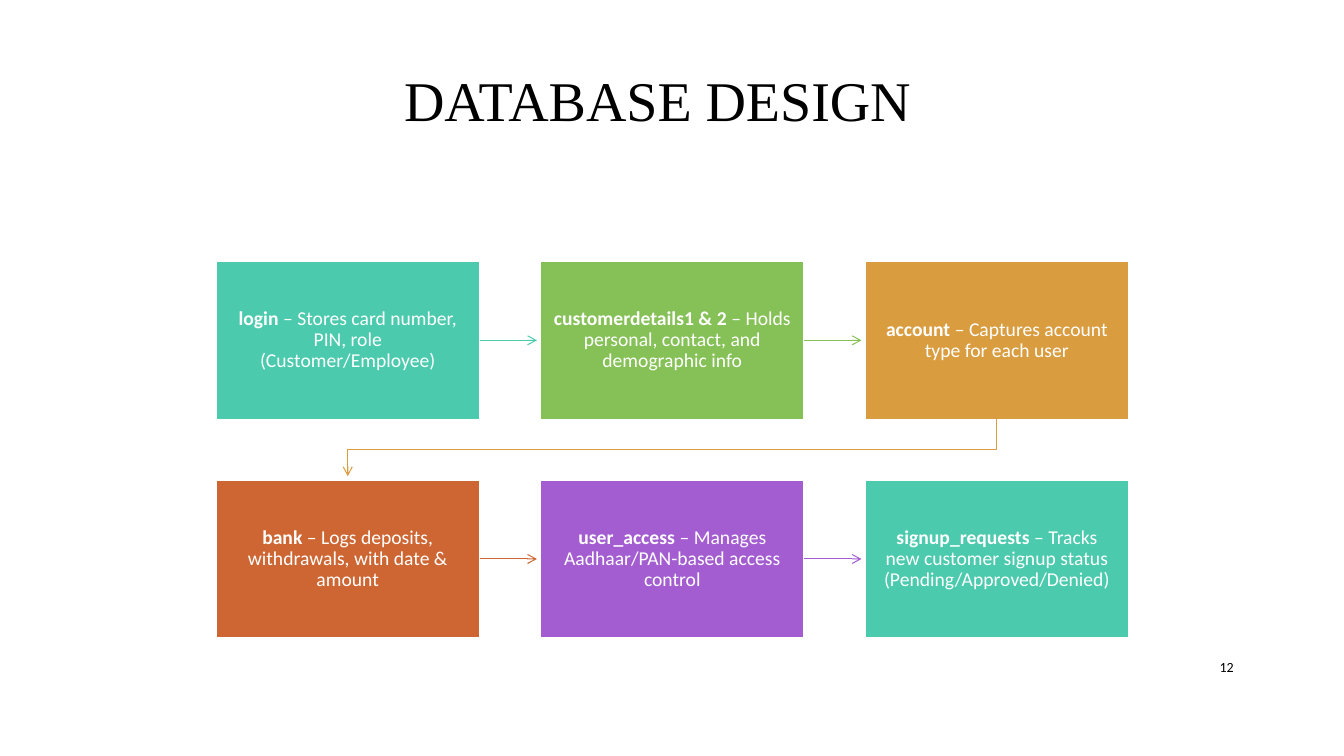
from dataclasses import dataclass

from lxml import etree
from pptx import Presentation
from pptx import util as u
from pptx.dml.color import RGBColor
from pptx.enum import shapes, text
from pptx.oxml.ns import qn


@dataclass(frozen=True)
class Theme:
    teal: str = "4BCAAD"
    green: str = "86C157"
    gold: str = "D99C3F"
    rust: str = "CE6633"
    plum: str = "A35DD1"
    white: str = "FFFFFF"
    black: str = "000000"
    serif: str = "Times New Roman"
    sans: str = "Calibri"
    title: int = 40
    body: int = 14
    small: int = 10


THEME = Theme()
LEFT, TOP = 5.44, 6.58
WIDE, HIGH = 6.65, 3.99
STEP_X, STEP_Y = 8.18, 5.51
COLS = 3
GAP = 0.09

TABLES = [
    ("login", " – Stores card number, PIN, role (Customer/Employee)", THEME.teal),
    ("customerdetails1 & 2", " – Holds personal, contact, and demographic info", THEME.green),
    ("account", " – Captures account type for each user", THEME.gold),
    ("bank", " – Logs deposits, withdrawals, with date & amount", THEME.rust),
    ("user_access", " – Manages Aadhaar/PAN-based access control", THEME.plum),
    ("signup_requests", " – Tracks new customer signup status (Pending/Approved/Denied)", THEME.teal),
]


def color(code):
    return RGBColor.from_string(code)


def style(para, face, size, code, align):
    para.alignment = align
    para.font.name = face
    para.font.size = u.Pt(size)
    para.font.color.rgb = color(code)


def add_label(slide, words, area, face, size, align, anchor):
    frame = slide.shapes.add_textbox(*map(u.Cm, area)).text_frame
    frame.word_wrap = True
    frame.vertical_anchor = anchor
    para = frame.paragraphs[0]
    para.text = words
    para.line_spacing = 0.9
    style(para, face, size, THEME.black, align)


def add_box(slide, index, name, note, fill):
    row, col = divmod(index, COLS)
    box = slide.shapes.add_shape(
        shapes.MSO_SHAPE.RECTANGLE,
        u.Cm(LEFT + col * STEP_X), u.Cm(TOP + row * STEP_Y), u.Cm(WIDE), u.Cm(HIGH))
    box.shadow.inherit = False
    box.fill.solid()
    box.fill.fore_color.rgb = color(fill)
    box.line.color.rgb = color(THEME.white)
    box.line.width = u.Pt(1.25)
    frame = box.text_frame
    frame.word_wrap = True
    frame.vertical_anchor = text.MSO_ANCHOR.MIDDLE
    frame.margin_left = frame.margin_right = u.Cm(0.33)
    frame.margin_top = frame.margin_bottom = u.Cm(0.33)
    para = frame.paragraphs[0]
    para.line_spacing = 0.9
    style(para, THEME.sans, THEME.body, THEME.white, text.PP_ALIGN.CENTER)
    head = para.add_run()
    head.text = name
    head.font.bold = True
    para.add_run().text = note
    return box


def set_arrow(shape, code):
    shape.line.color.rgb = color(code)
    shape.line.width = u.Pt(0.75)
    props = shape._element.spPr
    etree.SubElement(props.find(qn("a:ln")), qn("a:tailEnd"), type="arrow")
    etree.SubElement(props, qn("a:effectLst"))


def add_link(slide, first, second, code):
    mid = first.top + first.height // 2
    link = slide.shapes.add_connector(
        shapes.MSO_CONNECTOR.STRAIGHT,
        first.left + first.width, mid, second.left - u.Cm(GAP), mid)
    link.begin_connect(first, 3)
    set_arrow(link, code)


def add_turn(slide, first, second, code):
    start = first.left + first.width // 2
    end = second.left + second.width // 2
    base = first.top + first.height
    mid = (base + second.top) // 2
    path = slide.shapes.build_freeform(start, base)
    path.add_line_segments(
        [(start, mid), (end, mid), (end, second.top - u.Cm(GAP))], close=False)
    turn = path.convert_to_shape()
    turn.fill.background()
    set_arrow(turn, code)


def main():
    deck = Presentation()
    deck.slide_width, deck.slide_height = u.Cm(33.87), u.Cm(19.05)
    slide = deck.slides.add_slide(deck.slide_layouts[6])
    add_label(slide, "DATABASE DESIGN", (2.18, 1.73, 28.78, 4.45), THEME.serif,
              THEME.title, text.PP_ALIGN.CENTER, text.MSO_ANCHOR.TOP)
    boxes = [add_box(slide, i, *table) for i, table in enumerate(TABLES)]
    for i, (first, second) in enumerate(zip(boxes, boxes[1:])):
        join = add_turn if (i + 1) % COLS == 0 else add_link
        join(slide, first, second, TABLES[i][2])
    add_label(slide, "12", (29.21, 16.33, 2.13, 1.02), THEME.sans,
              THEME.small, text.PP_ALIGN.RIGHT, text.MSO_ANCHOR.MIDDLE)
    deck.save("out.pptx")


if __name__ == "__main__":
    main()
